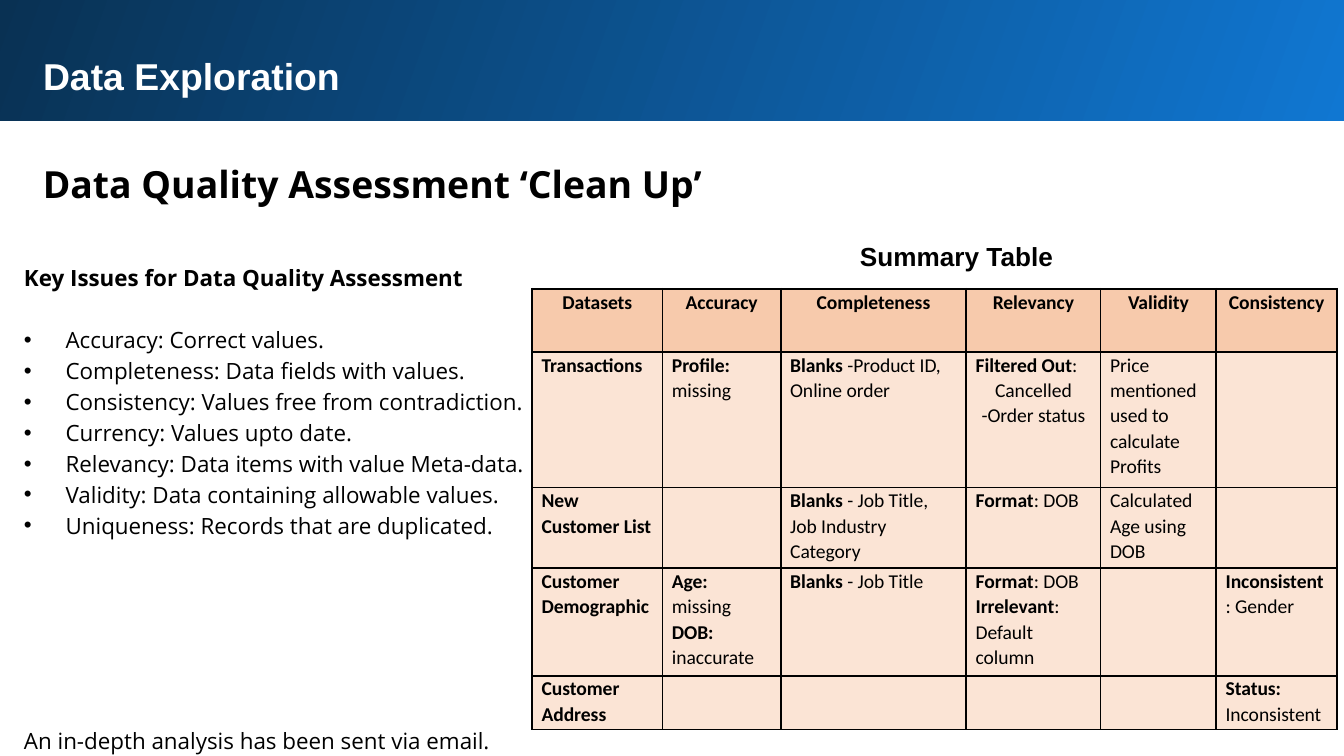
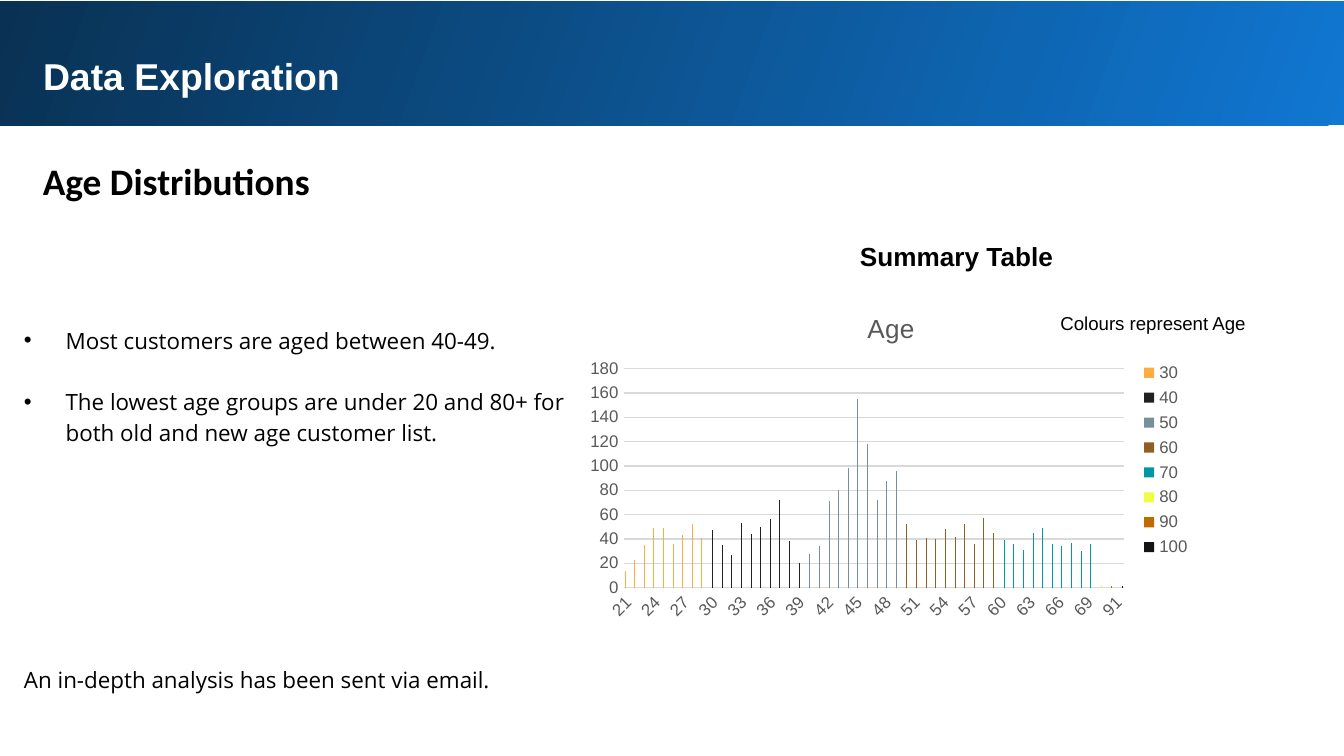
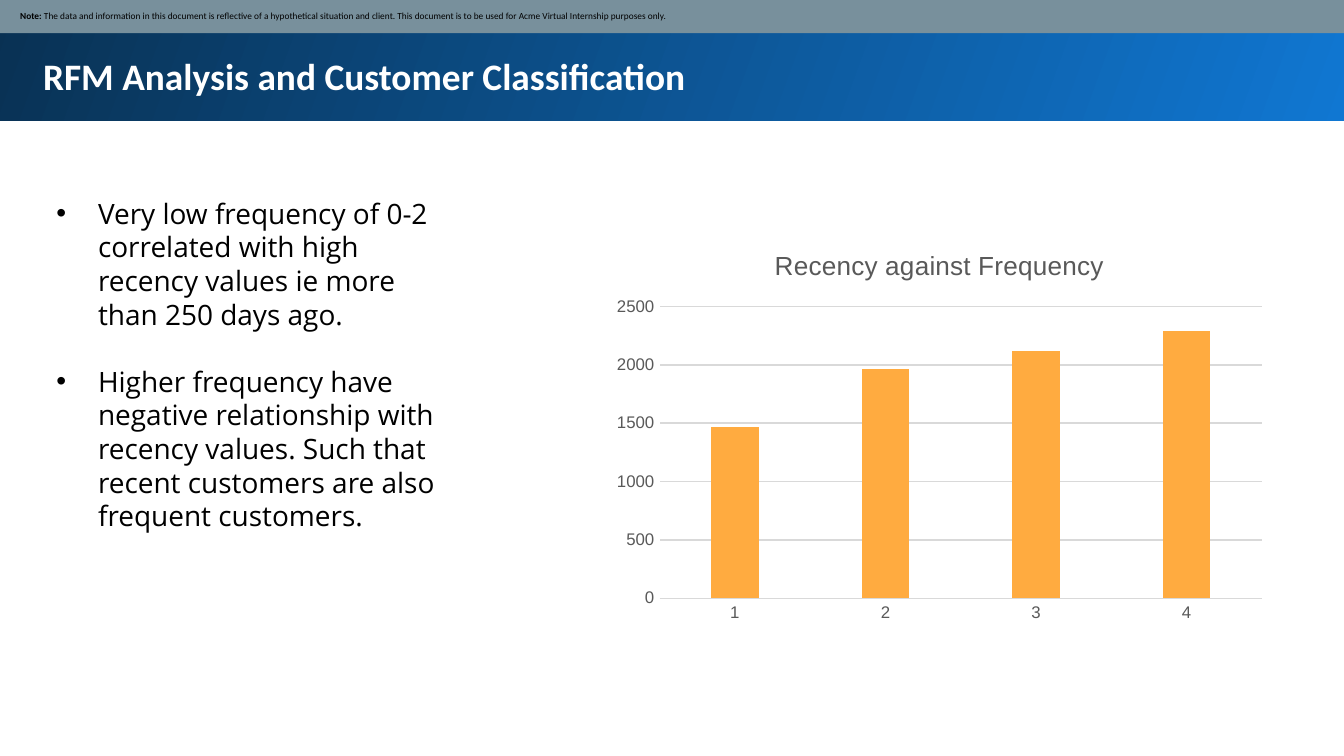
from pptx import Presentation
from pptx.util import Inches, Pt
from pptx.dml.color import RGBColor
from pptx.chart.data import CategoryChartData as Data
from pptx.enum.chart import XL_CHART_TYPE as Kind, XL_LEGEND_POSITION as Side, XL_TICK_MARK as Tick
from pptx.enum.shapes import MSO_SHAPE as Form
from pptx.enum.text import PP_ALIGN as Align, MSO_ANCHOR as Anchor, MSO_AUTO_SIZE as Fit
from pptx.oxml.ns import qn
from lxml.etree import SubElement as Sub

rgb = RGBColor.from_string
BLACK, WHITE, SLATE, AMBER = "000000", "FFFFFF", "78909C", "FFAB40"
GREY, RULE = "595959", "D9D9D9"
SANS, OPEN, CALI = "Arial", "Open Sans", "Calibri"

deck = Presentation()
deck.slide_width, deck.slide_height = Inches(10), Inches(5.625)
COL, ROW = deck.slide_width / 100, deck.slide_height / 100


def area(x, y, w, h):
    """Percent of the slide to left, top, width, height."""
    return [int(n) for n in (x * COL, y * ROW, w * COL, h * ROW)]


def write(shape, lines, size, face, ink=BLACK, bold=False, pad=0.1, pitch=None):
    """Fill a shape with left-aligned paragraphs in one style."""
    frame = shape.text_frame
    frame.text = "\n".join(lines)
    frame.word_wrap = True
    frame.auto_size = Fit.SHAPE_TO_FIT_TEXT
    frame.vertical_anchor = Anchor.TOP
    frame.margin_left = frame.margin_right = Inches(pad)
    frame.margin_top = frame.margin_bottom = Inches(pad)
    for para in frame.paragraphs:
        para.alignment = Align.LEFT
        para.line_spacing = pitch
        for run in para.runs:
            font = run.font
            font.size, font.name, font.bold = Pt(size), face, bold
            font.color.rgb = rgb(ink)
    return frame


# Shared band and title
slides = []
for title, face, x, y in [
    ("Data Exploration", SANS, -0.2, -0.4),
    ("Data Exploration", SANS, 0, 0.2),
    ("RFM Analysis and Customer Classification", CALI, -0.2, -0.4),
]:
    slide = deck.slides.add_slide(deck.slide_layouts[5])
    slides.append(slide)
    band = slide.shapes.add_shape(Form.RECTANGLE, *area(x, y, 100.5, 16.4))
    band.shadow.inherit = False
    band.line.fill.background()
    band.fill.gradient()
    band.fill.gradient_angle = 160
    for stop, ink in zip(band.fill.gradient_stops, ("1077D2", "093153")):
        stop.color.rgb = rgb(ink)
    slide.shapes._spTree.insert(2, band._element)  # behind the title
    head = slide.shapes.title
    head.left, head.top, head.width, head.height = area(2.2, 5.2, 93.7, 9.1)
    write(head, [title], 20, face, WHITE, True)
first, second, third = slides

# Headings of the two exploration slides
for slide, text, face, y in [
    (first, "Data Quality Assessment \u2018Clean Up\u2019", OPEN, 18.7),
    (second, "Age Distributions", CALI, 18.3),
]:
    box = slide.shapes.add_textbox(*area(2.2, y, 93.7, 10))
    write(box, [text], 20, face, bold=True, pitch=1.15)
    box = slide.shapes.add_textbox(*area(63, 30.9, 16.6, 6))
    frame = write(box, ["Summary Table"], 14, SANS, bold=True)
    frame.word_wrap = False
    frame.margin_top = frame.margin_bottom = Inches(0.05)

# Body texts: bullets are the lines from "start" to "end", gaps are in lines
closing = "An in-depth analysis has been sent via email."
issues = [
    "Key Issues for Data Quality Assessment",
    "Accuracy: Correct values.",
    "Completeness: Data fields with values.",
    "Consistency: Values free from contradiction.",
    "Currency: Values upto date.",
    "Relevancy: Data items with value Meta-data.",
    "Validity: Data containing allowable values.",
    "Uniqueness: Records that are duplicated.",
    closing,
]
ages = [
    "Most customers are aged between 40-49.",
    "The lowest age groups are under 20 and 80+ for both old and new age customer list.",
    closing,
]
habits = [
    "Very low frequency of 0-2 correlated with high recency values ie more than 250 days ago.",
    "Higher frequency have negative relationship with recency values. "
    "Such that recent customers are also frequent customers.",
]
for slide, lines, spot, size, pad, pitch, start, end, gaps, step in [
    (first, issues, (0.8, 32.7, 45.2, 69.7), 12, 0.1, 1.15, 1, 8, {1: 1, 8: 6}, 16.5),
    (second, ages, (0.8, 40.9, 45.2, 53), 12, 0.1, 1.15, 0, 2, {1: 1, 2: 7}, 16.5),
    (third, habits, (3.7, 25.1, 30, 46.8), 15, 0.05, None, 0, 2, {1: 1}, 18),
]:
    box = slide.shapes.add_textbox(*area(*spot))
    paras = write(box, lines, size, OPEN, pad=pad, pitch=pitch).paragraphs
    for i, count in gaps.items():
        paras[i].space_before = Pt(count * step)
    for para in paras[start:end]:
        props = para._p.get_or_add_pPr()
        props.set("marL", str(Inches(0.31)))
        props.set("indent", str(-Inches(0.31)))
        Sub(props, qn("a:buFont")).set("typeface", SANS)
        Sub(props, qn("a:buChar")).set("char", "\u2022")
    if slide is first:
        paras[0].runs[0].font.bold = True

# Quality table: in each line the part before the bar is bold
cells = [
    ["Datasets", "Accuracy", "Completeness", "Relevancy", "Validity", "Consistency"],
    ["Transactions", "Profile: |missing", "Blanks| -Product ID, Online order",
     "Filtered Out|:\n|Cancelled -Order status",
     "|Price mentioned used to calculate Profits", ""],
    ["New Customer List", "", "Blanks| - Job Title, Job Industry Category",
     "Format|: DOB", "|Calculated Age using DOB", ""],
    ["Customer Demographic", "Age:| missing\nDOB:| inaccurate", "Blanks| - Job Title",
     "Format|: DOB\nIrrelevant|: Default column", "", "Inconsistent|: Gender"],
    ["Customer Address", "", "", "", "", "Status: |Inconsistent"],
]
widths = [0.97, 0.88, 1.38, 1, 0.86, 0.9]
heights = [0.47, 1.01, 0.6, 0.8, 0.4]
table = first.shapes.add_table(5, 6, *area(39.6, 38.2, 59.9, 58.3)).table
table.first_row = table.horz_banding = False
for column, w in zip(table.columns, widths):
    column.width = Inches(w)
for r, line in enumerate(cells):
    table.rows[r].height = Inches(heights[r])
    for c, text in enumerate(line):
        cell = table.cell(r, c)
        cell.margin_left = cell.margin_right = Inches(0.07)
        cell.margin_top = cell.margin_bottom = 0
        props = cell._tc.get_or_add_tcPr()
        for side in "LRTB":
            edge = Sub(props, qn("a:ln" + side), w=str(Pt(1)))
            Sub(Sub(edge, qn("a:solidFill")), qn("a:srgbClr")).set("val", BLACK)
        cell.fill.solid()
        cell.fill.fore_color.rgb = rgb("FBE4D5" if r else "F7CAAC")
        cell.text_frame.text = text.replace("|", "")
        for para, part in zip(cell.text_frame.paragraphs, text.split("\n")):
            para.line_spacing = 1.07
            if r == 0:
                para.space_before = Pt(12)
            if r == 0 or "Cancelled" in part:
                para.alignment = Align.CENTER
            strong, _, plain = part.partition("|")
            para.text = strong
            if plain:
                para.add_run().text = plain
            for run in para.runs:
                font = run.font
                font.size, font.name = Pt(10.5), CALI
                font.bold = run.text == strong
                font.color.rgb = rgb(BLACK)

# Chart data: each age group fills the columns after the group before it
groups = [
    ("30", AMBER, [14, 23, 35, 49, 49, 36, 43, 52, 41]),
    ("40", "212121", [47, 35, 27, 53, 44, 50, 56, 72, 38, 20]),
    ("50", SLATE, [28, 34, 71, 80, 98, 155, 118, 72, 88, 96]),
    ("60", "8F6024", [52, 39, 41, 40, 48, 42, 52, 36, 57, 45]),
    ("70", "0097A7", [39, 36, 31, 45, 49, 36, 34, 37, 30, 36]),
    ("80", "EEFF41", [2]),
    ("90", "BF6B00", [1]),
    ("100", "141414", [1]),
]
spread = Data()
spread.categories = [str(n) for n in [*range(21, 70), 79, 87, 91]]
done = 0
for name, _, vals in groups:
    rest = 52 - done - len(vals)
    spread.add_series(name, [None] * done + vals + [None] * rest)
    done += len(vals)

recent = Data(number_format="0")
recent.categories = ["1", "2", "3", "4"]
recent.add_series("Series 1", [1470, 1960, 2120, 2290])

# Both column charts
for slide, data, spot, title, inks in [
    (second, spread, (43, 38.8, 46.6, 44.1), "Age", [g[1] for g in groups]),
    (third, recent, (44.9, 30.2, 50, 53.3), "Recency against Frequency", [AMBER]),
]:
    chart = slide.shapes.add_chart(Kind.COLUMN_CLUSTERED, *area(*spot), data).chart
    chart.font.size, chart.font.name = Pt(10), SANS
    chart.font.color.rgb = rgb(BLACK)
    chart.has_title = True
    chart.chart_title.include_in_layout = False
    chart.chart_title.text_frame.text = title
    font = chart.chart_title.text_frame.paragraphs[0].runs[0].font
    font.size, font.name, font.bold = Pt(14), SANS, False
    font.color.rgb = rgb(GREY)

    cats, vals = chart.category_axis, chart.value_axis
    fonts = [cats.tick_labels.font, vals.tick_labels.font]
    chart.has_legend = slide is second
    if chart.has_legend:
        chart.legend.position = Side.RIGHT
        chart.legend.include_in_layout = False
        fonts.append(chart.legend.font)
        cats._element.find(qn("c:txPr")).find(qn("a:bodyPr")).set("rot", "-2700000")
    for font in fonts:
        font.size, font.name = Pt(9), SANS
        font.color.rgb = rgb(GREY)
    for axis in (cats, vals):
        axis.major_tick_mark = axis.minor_tick_mark = Tick.NONE
    for line in (cats.format.line, vals.major_gridlines.format.line):
        line.width = Pt(0.75)
        line.color.rgb = rgb(RULE)
    vals.format.line.fill.background()

    plot = chart.plots[0]
    plot.gap_width, plot.overlap, plot.vary_by_categories = 219, -27, False
    for series, ink in zip(plot.series, inks):
        series.invert_if_negative = False
        series.format.fill.solid()
        series.format.fill.fore_color.rgb = rgb(ink)

# Colour hint beside the age chart
box = second.shapes.add_textbox(*area(78.4, 40.4, 16.4, 4.8))
write(box, ["Colours represent Age"], 10, SANS, pad=0.05)

# Note strip on the last slide
strip = third.shapes.add_shape(Form.RECTANGLE, *area(-0.1, -0.2, 100.3, 4.6))
strip.shadow.inherit = False
strip.line.fill.background()
strip.fill.solid()
strip.fill.fore_color.rgb = rgb(SLATE)
frame = write(strip, ["Note: "], 5, CALI, bold=True, pad=0.05)
frame.auto_size = Fit.NONE
frame.vertical_anchor = Anchor.MIDDLE
frame.margin_left = Inches(0.16)
run = frame.paragraphs[0].add_run()
run.text = ("The data and information in this document is reflective of a hypothetical "
            "situation and client. This document is to be used for Acme Virtual "
            "Internship purposes only.")
run.font.size, run.font.name, run.font.bold = Pt(5), CALI, False
run.font.color.rgb = rgb(BLACK)

deck.save("out.pptx")
